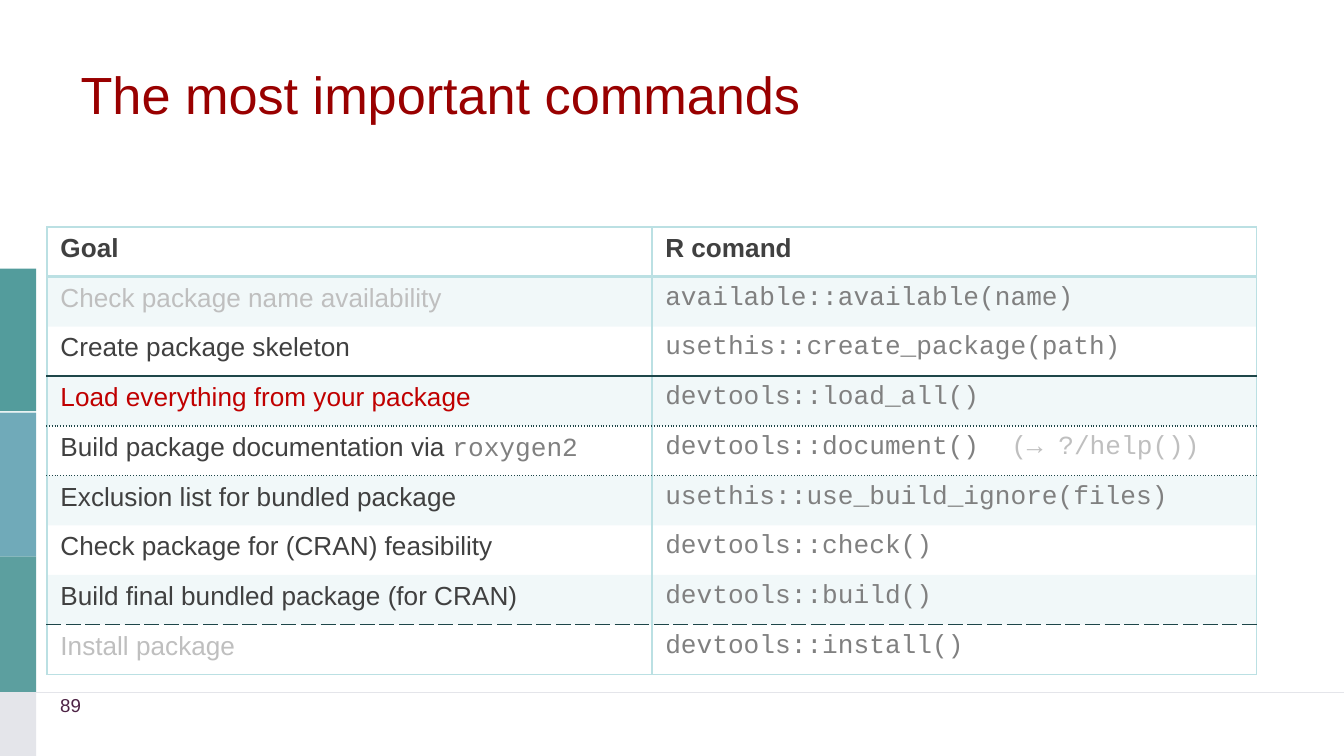
from dataclasses import dataclass

from lxml import etree
from pptx import Presentation
from pptx.dml.color import RGBColor
from pptx.enum.shapes import MSO_CONNECTOR, MSO_SHAPE
from pptx.enum.text import MSO_ANCHOR, PP_ALIGN
from pptx.oxml.ns import qn
from pptx.util import Inches, Pt

RECT = MSO_SHAPE.RECTANGLE
STRAIGHT = MSO_CONNECTOR.STRAIGHT
LEFT = PP_ALIGN.LEFT
MIDDLE = MSO_ANCHOR.MIDDLE


@dataclass
class Theme:
    sans: str = "Arial"
    mono: str = "Courier New"
    head: str = "990000"
    dark: str = "404040"
    code: str = "808080"
    pale: str = "BFBFBF"
    red: str = "C00000"
    page: str = "4D2345"
    grid: str = "BBE0E3"
    rule: str = "1E4649"
    line: str = "E4E5EA"
    title_pt: int = 28
    cell_pt: int = 14
    page_pt: int = 10


theme = Theme()


def style(font, face, size, color, bold=False):
    font.name, font.size, font.bold = face, Pt(size), bold
    font.color.rgb = RGBColor.from_string(color)


def border(cell, place, side, edge):
    """Draw one cell edge: (color, points, dash), or None for no line."""
    line = etree.Element(qn("a:ln" + side))
    cell._tc.get_or_add_tcPr().insert(place, line)
    if edge is None:
        etree.SubElement(line, qn("a:noFill"))
        return
    color, width, dash = edge
    line.set("w", str(Pt(width)))
    fill = etree.SubElement(line, qn("a:solidFill"))
    etree.SubElement(fill, qn("a:srgbClr"), val=color)
    etree.SubElement(line, qn("a:prstDash"), val=dash)


# A 16:9 slide
deck = Presentation()
deck.slide_width = Inches(10)
deck.slide_height = Inches(10) * 9 // 16
slide = deck.slides.add_slide(deck.slide_layouts[5])
shapes = slide.shapes

# Side bars and footer line
bars = [
    (2, 1.06, "539C9C"),
    (4.14, 1.01, "5C9F9F"),
    (5.15, 0.48, theme.line),
    (3.07, 1.07, "70AAB9"),
]
for top, height, color in bars:
    bar = shapes.add_shape(RECT, 0, Inches(top), Inches(0.27), Inches(height))
    bar.shadow.inherit = False
    bar.fill.solid()
    bar.fill.fore_color.rgb = RGBColor.from_string(color)
    bar.line.fill.background()

foot = shapes.add_connector(STRAIGHT, 0, Inches(5.15), Inches(10), Inches(5.15))
foot.line.color.rgb = RGBColor.from_string(theme.line)
foot.line.width = Pt(0.5)
etree.SubElement(foot._element.spPr, qn("a:effectLst"))

# Title
title = shapes.title
title.left, title.top = Inches(0.5), Inches(0.23)
title.width, title.height = Inches(9), Inches(0.94)
title.text_frame.text = "The most important commands"
title.text_frame.vertical_anchor = MIDDLE
para = title.text_frame.paragraphs[0]
para.alignment = LEFT
style(para.font, theme.sans, theme.title_pt, theme.head)

# Command table: each cell is a list of (text, face, color) runs
goals = [
    ("Check package name availability", theme.pale, "available::available(name)"),
    ("Create package skeleton", theme.dark, "usethis::create_package(path)"),
    ("Load everything from your package", theme.red, "devtools::load_all()"),
    ("Build package documentation via ", theme.dark, "devtools::document()  "),
    ("Exclusion list for bundled package", theme.dark, "usethis::use_build_ignore(files)"),
    ("Check package for (CRAN) feasibility", theme.dark, "devtools::check()"),
    ("Build final bundled package (for CRAN)", theme.dark, "devtools::build()"),
    ("Install package", theme.pale, "devtools::install()"),
]
rows = [[[(name, theme.sans, theme.dark)] for name in ("Goal", "R comand")]]
for goal, color, call in goals:
    rows.append([[(goal, theme.sans, color)], [(call, theme.mono, theme.code)]])
rows[4][0].append(("roxygen2", theme.mono, theme.code))
rows[4][1].append(("(→ ?/help())", theme.mono, theme.pale))

# Horizontal lines, keyed by the row beneath them
frame = (theme.grid, 1, "solid")
rules = {
    0: frame,
    1: (theme.grid, 2, "solid"),
    3: (theme.rule, 1, "solid"),
    4: (theme.rule, 1, "sysDot"),
    5: (theme.rule, 1, "sysDot"),
    8: (theme.rule, 1, "sysDash"),
    9: frame,
}

high = 0.37
table = shapes.add_table(
    len(rows), 2, Inches(0.35), Inches(1.69), Inches(9), Inches(high * len(rows))
).table
table.first_row = table.horz_banding = False

for r, row in enumerate(rows):
    table.rows[r].height = Inches(high)
    for c, runs in enumerate(row):
        cell = table.cell(r, c)
        para = cell.text_frame.paragraphs[0]
        for text, face, color in runs:
            run = para.add_run()
            run.text = text
            style(run.font, face, theme.cell_pt, color, r == 0)

        # Odd rows carry a faint tint
        if r % 2:
            cell.fill.solid()
            cell.fill.fore_color.rgb = RGBColor.from_string(theme.grid)
            tint = cell._tc.tcPr.find(".//" + qn("a:srgbClr"))
            etree.SubElement(tint, qn("a:alpha"), val="20000")
        else:
            cell.fill.background()

        edges = [("L", frame), ("R", frame), ("T", rules.get(r)), ("B", rules.get(r + 1))]
        for place, (side, edge) in enumerate(edges):
            border(cell, place, side, edge)

# Page number
page = shapes.add_textbox(Inches(0.35), Inches(5.11), Inches(2.33), Inches(0.39))
page.text_frame.word_wrap = True
page.text_frame.text = "89"
style(page.text_frame.paragraphs[0].font, theme.sans, theme.page_pt, theme.page)

deck.save("out.pptx")
